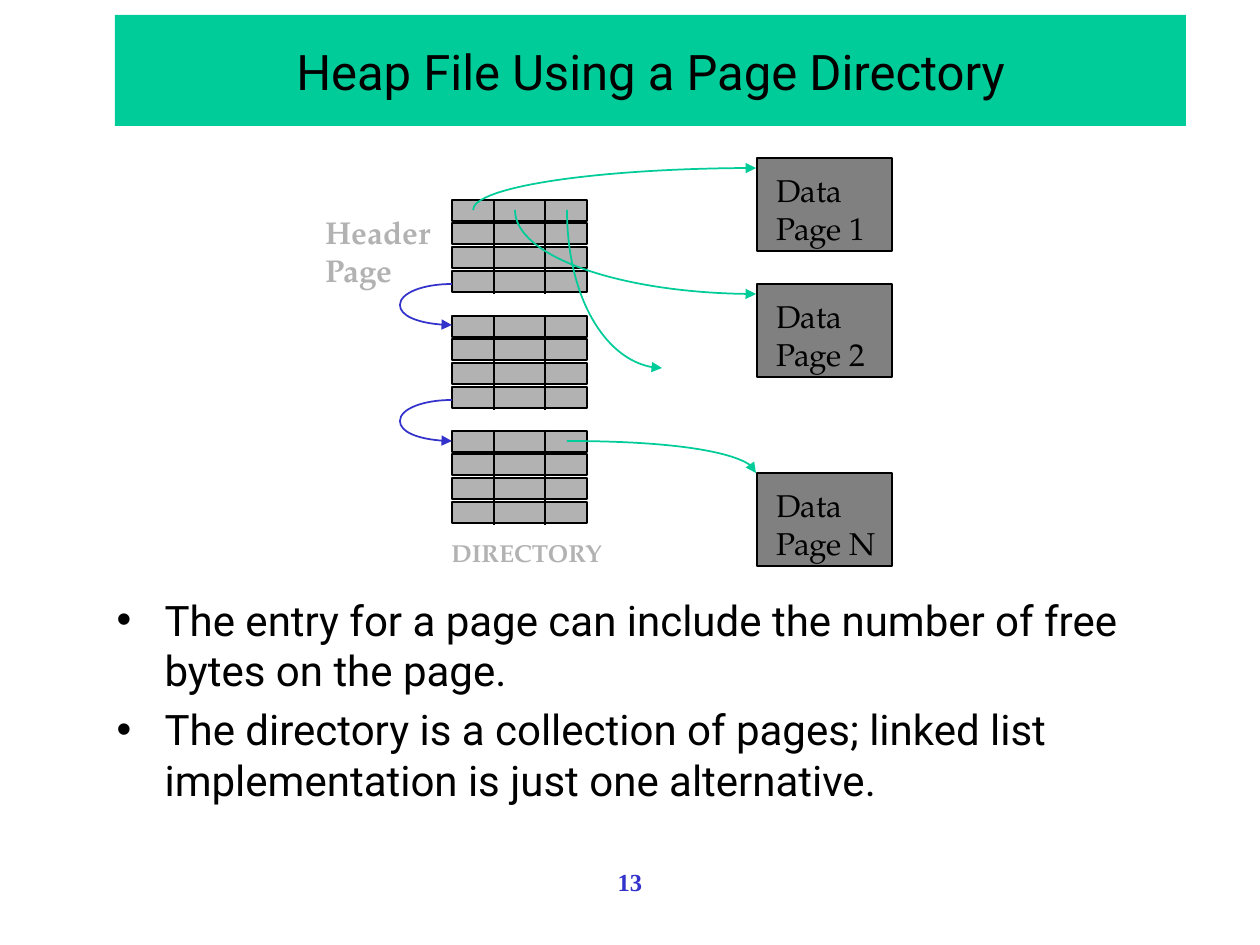
from lxml import etree
from pptx import Presentation
from pptx.dml.color import RGBColor
from pptx.enum.shapes import MSO_CONNECTOR, MSO_SHAPE
from pptx.enum.text import MSO_ANCHOR, MSO_AUTO_SIZE, PP_ALIGN
from pptx.oxml.ns import qn
from pptx.util import Emu, Pt

RECTANGLE = MSO_SHAPE.RECTANGLE
STRAIGHT = MSO_CONNECTOR.STRAIGHT
CENTER = PP_ALIGN.CENTER
LEFT = PP_ALIGN.LEFT
MIDDLE = MSO_ANCHOR.MIDDLE
TOP = MSO_ANCHOR.TOP
NO_FIT = MSO_AUTO_SIZE.NONE

SCALE = 914400 / 126
KAPPA = 0.55
BLACK, GREEN, BLUE = "000000", "00CC99", "3333CC"
ENTRY_GRAY, PAGE_GRAY = "B2B2B2", "808080"

TITLE_FONT = {"name": "Roboto", "size": Pt(28), "color": BLACK}
BODY_FONT = {"name": "Roboto", "size": Pt(24), "color": BLACK}
PAGE_FONT = {"name": "TeX Gyre Pagella", "size": Pt(18), "color": BLACK}
HEADER_FONT = {**PAGE_FONT, "color": ENTRY_GRAY, "bold": True}
DIRECTORY_FONT = {**HEADER_FONT, "size": Pt(14)}
NUMBER_FONT = {"name": "Times New Roman", "size": Pt(14), "color": BLUE, "bold": True}

BULLETS = (
    "The entry for a page can include the number of free bytes on the page.",
    "The directory is a collection of pages; linked list implementation is just one alternative.",
)
DIRECTORY_LEFT, PAGE_LEFT, PAGE_WIDTH = 452, 757, 135
DIRECTORY_TOPS = (200, 316, 431)
DATA_PAGES = (("Page 1", 158), ("Page 2", 284), ("Page N", 473))
ENTRY_POINTERS = (
    ((473, 210), (756, 168), True),
    ((515, 210), (756, 294), True),
    ((567, 210), (662, 368), True),
    ((567, 441), (756, 473), False),
)


def px(length):
    """Turn pixels into EMU."""
    return Emu(round(length * SCALE))


def rgb(value):
    """Turn a hex string into a colour."""
    return RGBColor.from_string(value)


def format_font(font, values):
    """Set font attributes from a dict of values."""
    for attribute, value in values.items():
        if attribute == "color":
            font.color.rgb = rgb(value)
        else:
            setattr(font, attribute, value)


def format_line(line, color):
    """Give a one-point line its colour."""
    line.color.rgb = rgb(color)
    line.width = Pt(1)


def place(shape, left, top, width, height):
    """Move and size a shape in pixels."""
    box = {"left": left, "top": top, "width": width, "height": height}
    for attribute, value in box.items():
        setattr(shape, attribute, px(value))


def add_title(slide):
    """Fill the title band."""
    title = slide.shapes.title
    place(title, 115, 15, 1071, 111)
    title.fill.solid()
    title.fill.fore_color.rgb = rgb(GREEN)
    frame = title.text_frame
    frame.text = "Heap File Using a Page Directory"
    frame.auto_size = NO_FIT
    frame.vertical_anchor = MIDDLE
    frame.paragraphs[0].alignment = CENTER
    format_font(frame.paragraphs[0].font, TITLE_FONT)


def add_bullets(slide):
    """Fill the body with the bulleted remarks."""
    body = slide.placeholders[1]
    place(body, 104, 588, 1071, 252)
    frame = body.text_frame
    frame.text = "\n".join(BULLETS)
    frame.auto_size = NO_FIT
    frame.vertical_anchor = TOP
    for index, remark in enumerate(frame.paragraphs):
        properties = remark._p.get_or_add_pPr()
        properties.set("marL", str(px(48)))
        properties.set("indent", str(-px(48)))
        remark.space_before = Pt(5 if index else 0)
        etree.SubElement(properties, qn("a:buChar"), char="•")
        format_font(remark.font, BODY_FONT)


def add_label(slide, text, box, font, alignment=LEFT, wrap=False):
    """Write a label of one or more lines."""
    label = slide.shapes.add_textbox(*map(px, box))
    frame = label.text_frame
    frame.word_wrap = wrap
    frame.text = text
    for paragraph in frame.paragraphs:
        paragraph.alignment = alignment
        format_font(paragraph.font, font)


def add_box(slide, box, fill):
    """Draw an outlined rectangle."""
    rectangle = slide.shapes.add_shape(RECTANGLE, *map(px, box))
    rectangle.shadow.inherit = False
    rectangle.fill.solid()
    rectangle.fill.fore_color.rgb = rgb(fill)
    format_line(rectangle.line, BLACK)


def add_divider(slide, x, top, bottom):
    """Draw a vertical divider between entry columns."""
    divider = slide.shapes.add_connector(STRAIGHT, px(x), px(top), px(x), px(bottom))
    format_line(divider.line, BLACK)
    etree.SubElement(divider._element.spPr, qn("a:effectLst"))


def add_curve(slide, start, end, color, vertical_start, arrow=True):
    """Draw a quarter ellipse that leaves start vertically or horizontally."""
    builder = slide.shapes.build_freeform(*start, scale=SCALE)
    builder.add_line_segments([end], close=False)
    curve = builder.convert_to_shape()
    curve.shadow.inherit = False
    curve.fill.background()
    format_line(curve.line, color)
    (x1, y1), (x2, y2) = start, end
    reach_x, reach_y = KAPPA * (x2 - x1), KAPPA * (y2 - y1)
    if vertical_start:
        controls = (x1, y1 + reach_y), (x2 - reach_x, y2)
    else:
        controls = (x1 + reach_x, y1), (x2, y2 - reach_y)
    segment = curve._element.xpath(".//a:lnTo")[0]
    bezier = etree.Element(qn("a:cubicBezTo"))
    for x, y in (*controls, end):
        local_x, local_y = round(x - min(x1, x2)), round(y - min(y1, y2))
        etree.SubElement(bezier, qn("a:pt"), x=str(local_x), y=str(local_y))
    segment.getparent().replace(segment, bezier)
    if arrow:
        outline = curve._element.spPr.find(qn("a:ln"))
        etree.SubElement(outline, qn("a:tailEnd"), type="triangle")


def add_directory_page(slide, top):
    """Draw one directory page of four rows and three columns."""
    for row in range(4):
        add_box(slide, (DIRECTORY_LEFT, top + row * 71 // 3, PAGE_WIDTH, 21), ENTRY_GRAY)
    for x in (494, 545):
        add_divider(slide, x, top - 1, top + 94)


def add_data_page(slide, name, top):
    """Draw one data page with its label."""
    add_box(slide, (PAGE_LEFT, top, PAGE_WIDTH, 93), PAGE_GRAY)
    add_label(slide, f"Data\n{name}", (764, top + 7, 136, 88), PAGE_FONT)


def add_next_link(slide, top):
    """Link a directory page to the next one."""
    turn = (400, top + 105)
    add_curve(slide, (DIRECTORY_LEFT, top + 84), turn, BLUE, False, arrow=False)
    add_curve(slide, turn, (DIRECTORY_LEFT, top + 125), BLUE, True)


def main():
    """Build the slide and save it."""
    deck = Presentation()
    deck.slide_width, deck.slide_height = px(1260), px(945)
    slide = deck.slides.add_slide(deck.slide_layouts[1])
    add_title(slide)
    add_bullets(slide)
    for top in DIRECTORY_TOPS:
        add_directory_page(slide, top)
    for name, top in DATA_PAGES:
        add_data_page(slide, name, top)
    add_label(slide, "Header\nPage", (313, 207, 136, 88), HEADER_FONT)
    add_label(slide, "DIRECTORY", (439, 532, 184, 42), DIRECTORY_FONT)
    for top in DIRECTORY_TOPS[:-1]:
        add_next_link(slide, top)
    for start, end, vertical_start in ENTRY_POINTERS:
        add_curve(slide, start, end, GREEN, vertical_start)
    add_label(slide, "13", (63, 861, 1134, 63), NUMBER_FONT, CENTER, wrap=True)
    deck.save("out.pptx")


if __name__ == "__main__":
    main()
